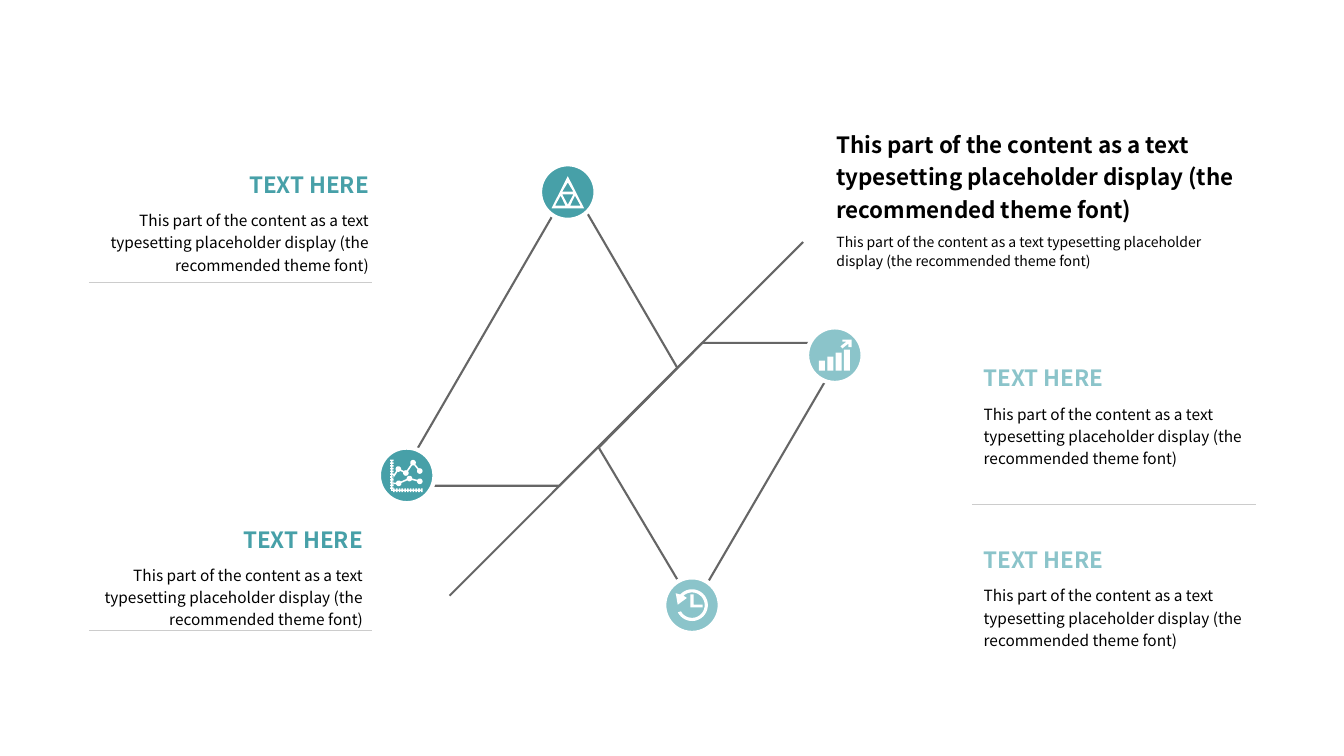
from dataclasses import dataclass
from math import cos, hypot, radians, sin

from lxml.etree import SubElement
from pptx import Presentation
from pptx.dml.color import RGBColor
from pptx.enum.shapes import MSO_CONNECTOR, MSO_SHAPE
from pptx.enum.text import MSO_ANCHOR, PP_ALIGN
from pptx.oxml.ns import qn
from pptx.shapes.autoshape import Shape
from pptx.slide import Slide
from pptx.util import Cm, Pt

Point = tuple[float, float]
Contour = list[Point]

FONT = "Noto Sans CJK SC"
TEAL = RGBColor(0x47, 0xA0, 0xA8)
PALE_TEAL = RGBColor(0x8B, 0xC4, 0xCA)
GRAY = RGBColor(0x66, 0x66, 0x66)
LIGHT_GRAY = RGBColor(0xCC, 0xCC, 0xCC)
BLACK = RGBColor(0, 0, 0)
WHITE = RGBColor(0xFF, 0xFF, 0xFF)

HEADING = "TEXT HERE"
BODY = ("This part of the content as a text typesetting placeholder display "
        "(the recommended theme font)")
DISC_SIZE = 1.4


@dataclass
class Caption:
    left: float
    top: float
    color: RGBColor
    align: PP_ALIGN


@dataclass
class Headline:
    top: float
    height: float
    size: float
    bold: bool
    spacing: float


@dataclass
class Rule:
    start: Point
    end: Point
    color: RGBColor
    width: float


@dataclass
class Badge:
    center: Point
    color: RGBColor
    icon: list[Contour]


def rectangle(left: float, top: float, right: float, bottom: float) -> Contour:
    return [(left, top), (right, top), (right, bottom), (left, bottom)]


def arc(center: Point, radius: float, start: int, end: int) -> Contour:
    """Points on an arc, in degrees clockwise from the right."""
    steps = 32
    angles = [radians(start + (end - start) * i / steps) for i in range(steps + 1)]
    return [(center[0] + radius * cos(a), center[1] + radius * sin(a)) for a in angles]


def triangle_icon() -> list[Contour]:
    left_hole = [(-0.32, 0.34), (-0.18, 0.09), (-0.06, 0.34)]
    return [
        [(0, -0.4), (-0.41, 0.41), (0.41, 0.41)],
        [(0, -0.24), (0.14, -0.01), (-0.14, -0.01)],
        [(-0.14, 0.06), (0.14, 0.06), (0, 0.32)],
        left_hole,
        [(-x, y) for x, y in left_hole],
    ]


def link(a: Point, b: Point, a_gap: float, b_gap: float) -> Contour:
    """A thin band from a to b that stops short of both ends."""
    length = hypot(b[0] - a[0], b[1] - a[1])
    ux, uy = (b[0] - a[0]) / length, (b[1] - a[1]) / length
    half = 0.02
    start = (a[0] + ux * a_gap, a[1] + uy * a_gap)
    end = (b[0] - ux * b_gap, b[1] - uy * b_gap)
    return [(x - uy * side, y + ux * side)
            for (x, y), side in ((start, half), (end, half), (end, -half), (start, -half))]


def line_chart_icon() -> list[Contour]:
    dot_radius = 0.07
    contours = [[(-0.39, -0.4), (-0.36, -0.4), (-0.36, 0.36), (0.4, 0.36),
                 (0.4, 0.39), (-0.39, 0.39)]]
    for i in range(11):
        y = 0.32 - 0.07 * i
        for left in (-0.42, -0.36):
            tick = rectangle(left, y - 0.02, left + 0.03, y + 0.02)
            contours += [tick, [(-ty, -tx) for tx, ty in tick]]
    for series in (
        [(-0.36, 0.07), (-0.21, -0.16), (-0.02, -0.06), (0.16, -0.32), (0.33, -0.11)],
        [(-0.36, 0.2), (-0.2, 0.2), (0.07, 0.08), (0.33, 0.15)],
    ):
        for i, (a, b) in enumerate(zip(series, series[1:])):
            contours.append(link(a, b, dot_radius if i else 0, dot_radius))
            contours.append(arc(b, dot_radius, 0, 360))
    return contours


def clock_icon() -> list[Contour]:
    hands = [(-0.04, -0.27), (0.04, -0.27), (0.04, -0.01), (0.27, -0.01),
             (0.27, 0.06), (-0.04, 0.06)]
    arrow = [(-0.13, -0.18), (-0.36, -0.01), (-0.41, -0.3)]
    ring = arc((0, 0), 0.4, 222, 513) + arc((0, 0), 0.32, 511, 228)
    return [hands, ring + arrow]


def growth_icon() -> list[Contour]:
    bars = [rectangle(-0.4 + 0.21 * i, top, -0.25 + 0.21 * i, 0.39)
            for i, top in enumerate((0.14, 0.04, -0.06, -0.14))]
    arrow = [(0.19, -0.39), (0.42, -0.39), (0.42, -0.2), (0.34, -0.2), (0.34, -0.29),
             (0.19, -0.17), (0.14, -0.22), (0.29, -0.34), (0.19, -0.34)]
    return bars + [arrow]


CAPTIONS = [
    Caption(2.39, 4.22, TEAL, PP_ALIGN.RIGHT),
    Caption(2.24, 13.16, TEAL, PP_ALIGN.RIGHT),
    Caption(24.54, 9.09, PALE_TEAL, PP_ALIGN.LEFT),
    Caption(24.54, 13.67, PALE_TEAL, PP_ALIGN.LEFT),
]
HEADLINES = [Headline(3.07, 2.64, 16, True, 1.2), Headline(5.72, 1.19, 10, False, 1.1)]
FRAMES = [
    [(9.98, 12.24), (14.38, 4.65), (17.07, 9.27), (14.1, 12.24)],
    [(21.36, 8.64), (17.48, 15.29), (15.09, 11.28), (17.7, 8.64)],
]
RULES = [
    Rule((20.24, 6.1), (11.33, 15.01), GRAY, 1.5),
    Rule((2.24, 7.11), (9.37, 7.11), LIGHT_GRAY, 0.5),
    Rule((2.24, 15.88), (9.37, 15.88), LIGHT_GRAY, 0.5),
    Rule((24.49, 12.7), (31.65, 12.7), LIGHT_GRAY, 0.5),
]
BADGES = [
    Badge((14.31, 4.84), TEAL, triangle_icon()),
    Badge((10.25, 11.98), TEAL, line_chart_icon()),
    Badge((17.44, 15.25), PALE_TEAL, clock_icon()),
    Badge((21.04, 8.95), PALE_TEAL, growth_icon()),
]


def write(shape: Shape, text: str, size: float, color: RGBColor, align: PP_ALIGN,
          anchor: MSO_ANCHOR, bold: bool = False, spacing: float = 1.0,
          wrap: bool = True) -> None:
    frame = shape.text_frame
    frame.word_wrap = wrap
    frame.vertical_anchor = anchor
    paragraph = frame.paragraphs[0]
    paragraph.alignment = align
    paragraph.line_spacing = spacing
    run = paragraph.add_run()
    run.text = text
    run.font.name = FONT
    run.font.size = Pt(size)
    run.font.bold = bold
    run.font.color.rgb = color


def fill_plain(shape: Shape, color: RGBColor) -> None:
    shape.shadow.inherit = False
    shape.fill.solid()
    shape.fill.fore_color.rgb = color
    shape.line.fill.background()


def draw_outline(slide: Slide, contours: list[Contour], origin: Point = (0, 0)) -> Shape:
    placed = [[(Cm(origin[0] + x), Cm(origin[1] + y)) for x, y in contour]
              for contour in contours]
    builder = slide.shapes.build_freeform(*placed[0][0])
    for contour in placed:
        builder.move_to(*contour[0])
        builder.add_line_segments(contour[1:], close=True)
    return builder.convert_to_shape()


def draw_caption(slide: Slide, caption: Caption) -> None:
    left, width, heading_height = Cm(caption.left), Cm(7.16), Cm(0.89)
    body = slide.shapes.add_textbox(left, Cm(caption.top) + heading_height, width, Cm(2.01))
    write(body, BODY, 11, BLACK, caption.align, MSO_ANCHOR.TOP, spacing=1.2)
    heading = slide.shapes.add_textbox(left, Cm(caption.top), width, heading_height)
    write(heading, HEADING, 16, caption.color, caption.align, MSO_ANCHOR.BOTTOM,
          bold=True, wrap=False)


def draw_headline(slide: Slide, headline: Headline) -> None:
    panel = slide.shapes.add_shape(MSO_SHAPE.RECTANGLE, Cm(20.83), Cm(headline.top),
                                   Cm(10.82), Cm(headline.height))
    fill_plain(panel, WHITE)
    write(panel, BODY, headline.size, BLACK, PP_ALIGN.LEFT, MSO_ANCHOR.MIDDLE,
          headline.bold, headline.spacing)


def draw_frame(slide: Slide, corners: Contour) -> None:
    frame = draw_outline(slide, [corners])
    frame.shadow.inherit = False
    frame.fill.background()
    frame.line.color.rgb = GRAY
    frame.line.width = Pt(1.5)


def draw_rule(slide: Slide, rule: Rule) -> None:
    line = slide.shapes.add_connector(MSO_CONNECTOR.STRAIGHT, *map(Cm, rule.start + rule.end))
    line.line.color.rgb = rule.color
    line.line.width = Pt(rule.width)
    SubElement(line._element.spPr, qn("a:effectLst"))


def draw_badge(slide: Slide, badge: Badge) -> None:
    x, y = badge.center
    disc = slide.shapes.add_shape(MSO_SHAPE.OVAL, Cm(x - DISC_SIZE / 2), Cm(y - DISC_SIZE / 2),
                                  Cm(DISC_SIZE), Cm(DISC_SIZE))
    fill_plain(disc, badge.color)
    disc.line.color.rgb = WHITE
    disc.line.width = Pt(3)
    fill_plain(draw_outline(slide, badge.icon, badge.center), WHITE)


def main() -> None:
    deck = Presentation()
    deck.slide_width, deck.slide_height = Cm(33.87), Cm(19.05)
    slide = deck.slides.add_slide(deck.slide_layouts[6])
    for draw, items in ((draw_caption, CAPTIONS), (draw_headline, HEADLINES),
                        (draw_frame, FRAMES), (draw_rule, RULES), (draw_badge, BADGES)):
        for item in items:
            draw(slide, item)
    deck.save("out.pptx")


if __name__ == "__main__":
    main()
